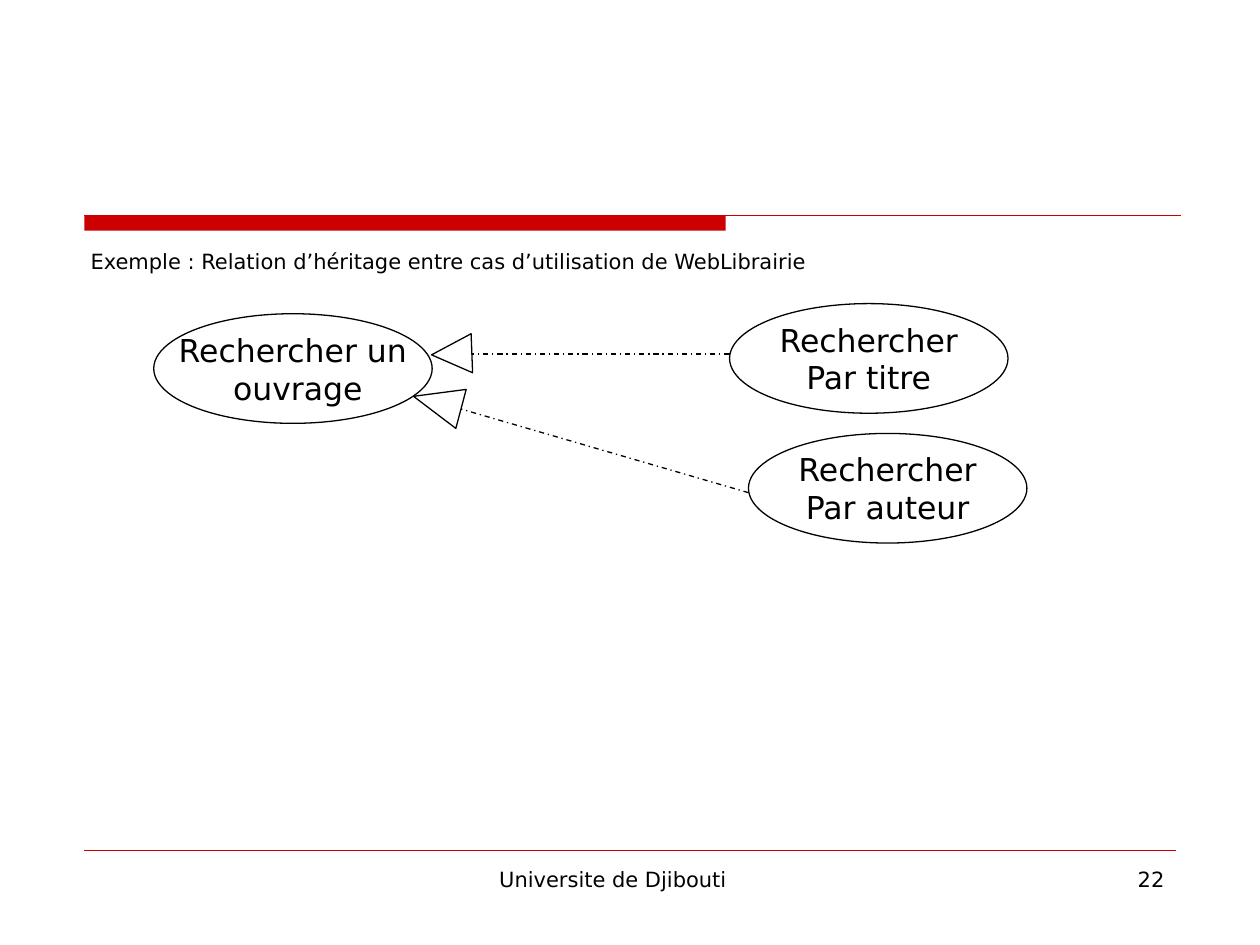
from collections import namedtuple

from lxml import etree
from pptx import Presentation
from pptx.dml.color import RGBColor
from pptx.enum.dml import MSO_LINE
from pptx.enum.shapes import MSO_CONNECTOR, MSO_SHAPE
from pptx.enum.text import MSO_ANCHOR, PP_ALIGN
from pptx.oxml.ns import qn
from pptx.util import Inches, Pt

ELLIPSE, TRIANGLE, RECTANGLE = MSO_SHAPE.OVAL, MSO_SHAPE.ISOSCELES_TRIANGLE, MSO_SHAPE.RECTANGLE
STRAIGHT, DASH_DOT = MSO_CONNECTOR.STRAIGHT, MSO_LINE.DASH_DOT
LEFT, CENTER, RIGHT = PP_ALIGN.LEFT, PP_ALIGN.CENTER, PP_ALIGN.RIGHT
TOP, MIDDLE = MSO_ANCHOR.TOP, MSO_ANCHOR.MIDDLE

FONT = "DejaVu Sans"
BLACK, WHITE, RED = "000000", "FFFFFF", "CC0000"
WIDTH, HEIGHT = Inches(10), Inches(7.5)
COLUMN, ROW = WIDTH / 100, HEIGHT / 75

Box = namedtuple("Box", "left top width height")


def color(code):
    return RGBColor.from_string(code)


def columns(count):
    return round(count * COLUMN)


def rows(count):
    return round(count * ROW)


def place(box):
    return columns(box.left), rows(box.top), columns(box.width), rows(box.height)


def within(box, left, top, width, height):
    return Box(box.left + left, box.top + top, width, height)


def add_figure(slide, kind, box, fill, outline=None):
    figure = slide.shapes.add_shape(kind, *place(box))
    figure.shadow.inherit = False
    figure.fill.solid()
    figure.fill.fore_color.rgb = color(fill)
    if outline:
        figure.line.color.rgb = color(outline)
        figure.line.width = Pt(0.75)
    else:
        figure.line.fill.background()
    return figure


def add_line(slide, start, end, shade, weight, dash=None):
    line = slide.shapes.add_connector(
        STRAIGHT, columns(start[0]), rows(start[1]), columns(end[0]), rows(end[1]))
    line.line.color.rgb = color(shade)
    line.line.width = Pt(weight)
    if dash:
        line.line.dash_style = dash
    etree.SubElement(line._element.spPr, qn("a:effectLst"))


def write(frame, lines, size, align, anchor=TOP, wrap=True):
    frame.word_wrap = wrap
    frame.vertical_anchor = anchor
    for index, wording in enumerate(lines):
        paragraph = frame.paragraphs[0] if index == 0 else frame.add_paragraph()
        paragraph.alignment = align
        run = paragraph.add_run()
        run.text = wording
        run.font.name = FONT
        run.font.size = Pt(size)
        run.font.color.rgb = color(BLACK)


def add_label(slide, box, wording, align):
    label = slide.shapes.add_textbox(*place(box))
    write(label.text_frame, [wording], 12, align)


def add_header(slide, box):
    add_figure(slide, RECTANGLE, within(box, 0, 0, 50.9, box.height), RED)
    add_line(slide, (box.left, box.top), (box.left + box.width, box.top), RED, 0.75)


def add_use_case(slide, box, lines):
    use_case = add_figure(slide, ELLIPSE, box, WHITE, BLACK)
    write(use_case.text_frame, lines, 18, CENTER, MIDDLE, False)


def add_inheritance(slide, box, start, end, head, rotation):
    points = [(box.left + x, box.top + y) for x, y in (start, end)]
    add_line(slide, *points, BLACK, 0.75, DASH_DOT)
    arrowhead = add_figure(slide, TRIANGLE, within(box, *head), WHITE, BLACK)
    arrowhead.rotation = rotation


def add_diagram(slide, box):
    use_cases = [
        (0, 0.8, ["Rechercher un", " ouvrage"]),
        (45.7, 0, ["Rechercher", "Par titre"]),
        (47.2, 10.3, ["Rechercher", "Par auteur"]),
    ]
    for left, top, lines in use_cases:
        add_use_case(slide, within(box, left, top, 22.1, 8.7), lines)
    add_inheritance(slide, box, (45.7, 4), (25.2, 4), (22.1, 2.4, 3.1, 3.2), 267.8)
    add_inheritance(slide, box, (47.2, 15), (22.8, 7.9), (20.9, 5.9, 3.2, 3.9), 284.9)


def add_footer(slide, box):
    add_line(slide, (box.left, box.top), (box.left + box.width, box.top), RED, 0.25)
    add_label(slide, within(box, 26.1, 0.8, 31.7, 5.2), "Universite de Djibouti", CENTER)
    add_label(slide, within(box, 65, 0.8, 21.7, 5.2), "22", RIGHT)


def main():
    deck = Presentation()
    deck.slide_width, deck.slide_height = WIDTH, HEIGHT
    slide = deck.slides.add_slide(deck.slide_layouts[6])
    add_header(slide, Box(6.7, 17.1, 87, 1.2))
    add_label(slide, Box(6.2, 19.2, 87.5, 46.7),
              "Exemple : Relation d’héritage entre cas d’utilisation de WebLibrairie", LEFT)
    add_diagram(slide, Box(12.2, 24.1, 69.3, 19))
    add_footer(slide, Box(6.7, 67.5, 86.6, 6))
    deck.save("out.pptx")


if __name__ == "__main__":
    main()
